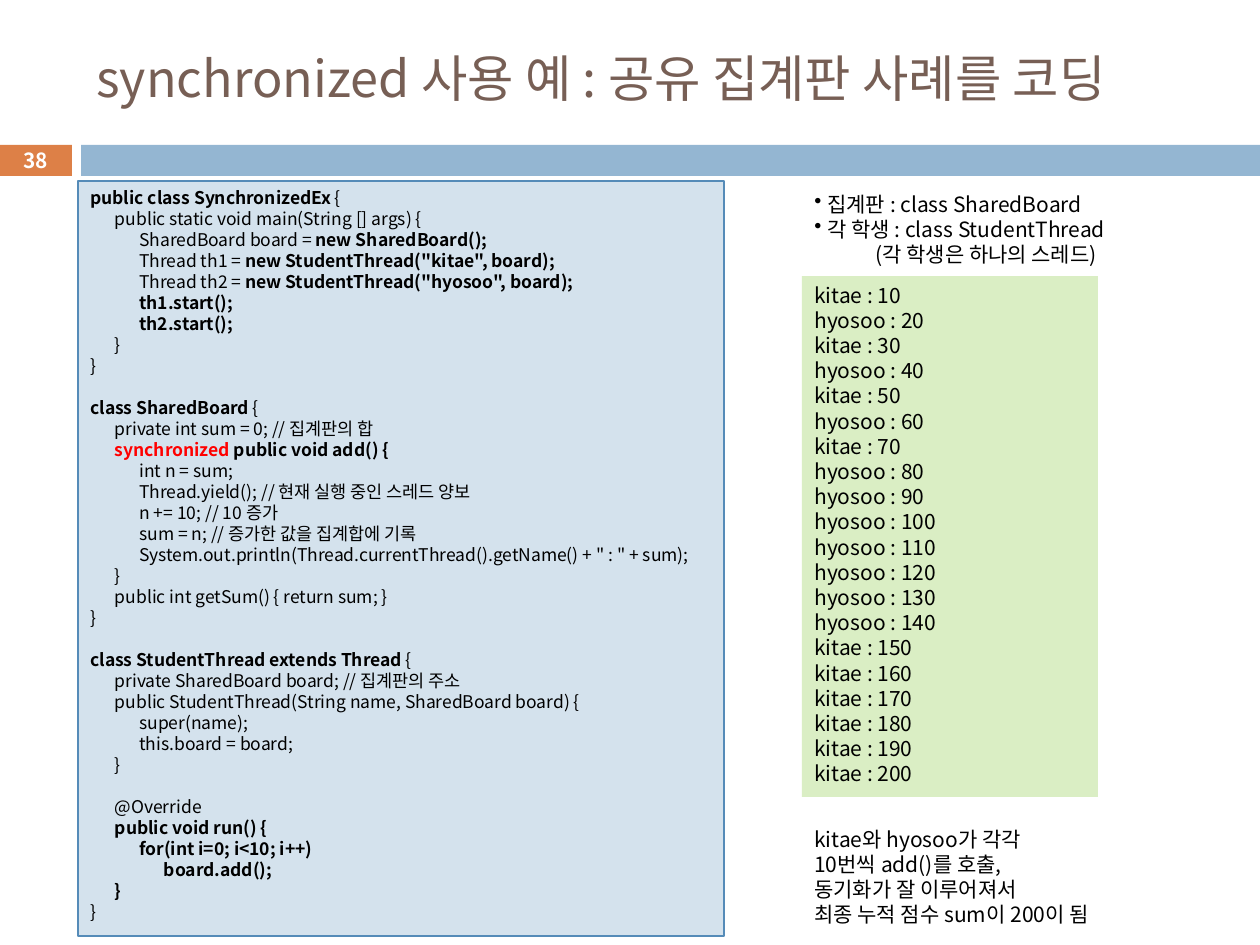
import pptx
import pptx.util
import pptx.dml.color
import pptx.enum.shapes
import pptx.enum.text
import pptx.oxml.ns
import lxml.etree

PX = 914400 / 126
FONT = "Noto Sans CJK KR"
ALIGN = pptx.enum.text.PP_ALIGN
ANCHOR = pptx.enum.text.MSO_ANCHOR

MAIN_CLASS = """|public class SynchronizedEx |{
\tpublic static void main(String [] args) {
\t\tSharedBoard board = |new SharedBoard();
\t\tThread th1 = |new StudentThread("kitae", board);
\t\tThread th2 = |new StudentThread("hyosoo", board);
\t\t|th1.start();
\t\t|th2.start();
\t}
}
"""

BOARD_CLASS = """|class SharedBoard| {
\tprivate int sum = 0; // 집계판의 합
\t|synchronized ||public void add() {
\t\tint n = sum;
\t\tThread.yield(); // 현재 실행 중인 스레드 양보
\t\tn += 10; // 10 증가
\t\tsum = n; // 증가한 값을 집계합에 기록
\t\tSystem.out.println(Thread.currentThread().getName() + " : " + sum);
\t}
\tpublic int getSum() { return sum; }
}
"""

THREAD_CLASS = """|class StudentThread extends Thread |{
\tprivate SharedBoard board; // 집계판의 주소
\tpublic StudentThread(String name, SharedBoard board) {
\t\tsuper(name);
\t\tthis.board = board;
\t}

\t@Override
\t|public void run() {
\t\t|for(int i=0; i<10; i++)
\t\t\t|board.add();
\t|}
}"""

SUMMARY = """kitae와 hyosoo가 각각
10번씩 add()를 호출,
동기화가 잘 이루어져서
최종 누적 점수 sum이 200이 됨"""


def emu(px):
    return pptx.util.Emu(round(px * PX))


def rgb(value):
    return pptx.dml.color.RGBColor.from_string(value)


def sub(parent, tag, **attrs):
    el = lxml.etree.SubElement(parent, pptx.oxml.ns.qn(tag))
    for name, value in attrs.items():
        el.set(name, str(value))
    return el


class Deck:
    def __init__(self, prs):
        self.s = prs.slides.add_slide(prs.slide_layouts[6])

    def rect(self, x, y, w, h, fill, line=None):
        sp = self.s.shapes.add_shape(
            pptx.enum.shapes.MSO_SHAPE.RECTANGLE, emu(x), emu(y), emu(w), emu(h))
        sp.shadow.inherit = False
        sp.fill.solid()
        sp.fill.fore_color.rgb = rgb(fill)
        if line:
            sp.line.color.rgb = rgb(line)
            sp.line.width = pptx.util.Pt(0.75)
        else:
            sp.line.fill.background()
        return sp

    def box(self, x, y, w, h):
        return self.s.shapes.add_textbox(emu(x), emu(y), emu(w), emu(h))

    def frame(self, sp, anchor=ANCHOR.TOP):
        tf = sp.text_frame
        tf.word_wrap = True
        tf.vertical_anchor = anchor
        return tf

    def run(self, p, text, size, color="000000", bold=False):
        r = p.add_run()
        r.text = text
        for name, value in {"size": pptx.util.Pt(size), "bold": bold, "name": FONT}.items():
            setattr(r.font, name, value)
        r.font.color.rgb = rgb(color)
        sub(r.font._element, "a:ea", typeface=FONT)

    def paragraphs(self, sp, lines, size):
        tf = self.frame(sp)
        for i, line in enumerate(lines):
            p = tf.add_paragraph() if i else tf.paragraphs[0]
            p.alignment = ALIGN.LEFT
            p.line_spacing = pptx.util.Pt(size * 1.2)
            yield p, line

    def label(self, sp, text, size, color, align=ALIGN.LEFT, bold=False):
        p = self.frame(sp, ANCHOR.MIDDLE).paragraphs[0]
        p.alignment = align
        self.run(p, text, size, color, bold)

    def text(self, sp, lines, size):
        for p, line in self.paragraphs(sp, lines, size):
            self.run(p, line, size)

    def code(self, sp, lines, size):
        for p, line in self.paragraphs(sp, lines, size):
            tabs = sub(p._p.get_or_add_pPr(), "a:tabLst")
            for n in range(1, 4):
                sub(tabs, "a:tab", pos=n * pptx.util.Pt(14), algn="l")
            p.font.size = pptx.util.Pt(size)
            for n, part in enumerate(line.split("|")):
                if part:
                    color = "FF0000" if part.startswith("synchronized") else "000000"
                    self.run(p, part, size, color, n % 2 == 1)

    def bullets(self, sp, items, size):
        for p, (text, indent, bullet) in self.paragraphs(sp, items, size):
            pPr = p._p.get_or_add_pPr()
            pPr.set("marL", str(emu(indent)))
            if bullet:
                pPr.set("indent", str(-emu(indent)))
                sub(pPr, "a:buChar", char="•")
            self.run(p, text, size)


def main():
    prs = pptx.Presentation()
    prs.slide_width, prs.slide_height = emu(1260), emu(945)
    d = Deck(prs)

    number = d.rect(0, 145, 72, 31, "DD8047")
    number.text_frame.margin_left = number.text_frame.margin_right = 0
    d.label(number, "38", 11.9, "FFFFFF", ALIGN.CENTER, True)
    d.rect(81, 145, 1179, 31, "94B6D2")
    d.label(d.box(84, 31, 1124, 93), "synchronized 사용 예 : 공유 집계판 사례를 코딩",
            28.8, "775F55")

    code_lines = "\n".join([MAIN_CLASS, BOARD_CLASS, THREAD_CLASS]).split("\n")
    d.code(d.rect(78, 181, 646, 755, "D4E2ED", "558BB8"), code_lines, 10)

    d.bullets(d.box(802, 185, 370, 90), [
        ("집계판 : class SharedBoard", 13, True),
        ("각 학생 : class StudentThread", 13, True),
        ("(각 학생은 하나의 스레드)", 61, False)], 12)

    kitae_sums = {10, 30, 50, 70, *range(150, 201, 10)}
    output = [f"{'kitae' if n in kitae_sums else 'hyosoo'} : {n}" for n in range(10, 201, 10)]
    d.text(d.rect(802, 276, 296, 521, "DAEEC4"), output, 12)
    d.text(d.box(802, 820, 336, 115), SUMMARY.split("\n"), 12)

    prs.save("out.pptx")


if __name__ == "__main__":
    main()
